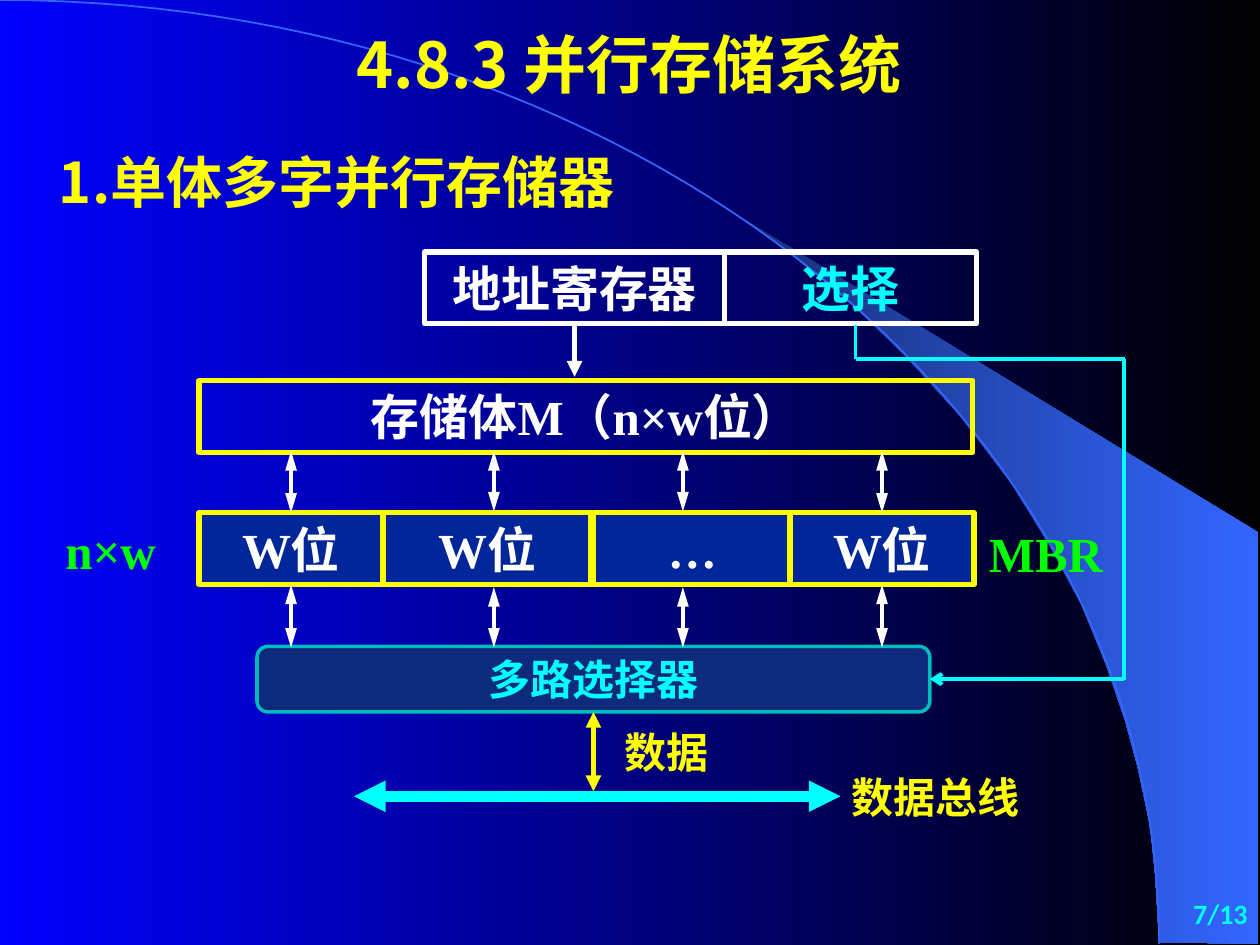
from dataclasses import dataclass
from math import isclose
from typing import Optional

from lxml.etree import SubElement
from pptx import Presentation
from pptx.dml.color import RGBColor
from pptx.enum.shapes import MSO_CONNECTOR, MSO_SHAPE
from pptx.enum.text import MSO_ANCHOR, PP_ALIGN
from pptx.oxml.ns import qn
from pptx.util import Emu, Inches, Pt

# Grid of 100 columns by 75 rows: one cell is a tenth of an inch
SLIDE_WIDTH, SLIDE_HEIGHT = Inches(10), Inches(7.5)
COLUMNS, ROWS = 100, 75
TOP, BOTTOM, RIGHT = 0, 2, 3


@dataclass(frozen=True)
class Theme:
    blue: str = "0000FF"
    black: str = "000000"
    white: str = "FFFFFF"
    yellow: str = "FFFF00"
    cyan: str = "00FFFF"
    green: str = "00FF00"
    arc: str = "3366FF"
    band: str = "182F76"
    cell: str = "002699"
    selector: str = "0E2A7C"
    selector_line: str = "00BCBC"
    serif: str = "Times New Roman"
    chinese: str = "Noto Sans CJK SC"
    label: str = "Arial"
    number: str = "Calibri"
    title_size: int = 36
    heading_size: int = 32
    box_size: int = 28
    label_size: int = 24
    number_size: int = 16


THEME = Theme()


@dataclass(frozen=True)
class Box:
    text: str
    left: float
    top: float
    width: float
    height: float = 5.7
    color: str = THEME.white
    size: int = THEME.box_size
    font: str = THEME.serif
    align: PP_ALIGN = PP_ALIGN.CENTER
    line: Optional[str] = None
    line_width: float = 3
    fill: Optional[str] = None
    preset: MSO_SHAPE = MSO_SHAPE.RECTANGLE


@dataclass(frozen=True)
class Line:
    start: tuple[float, float]
    end: tuple[float, float]
    color: str
    width: float = 2.25
    head: Optional[str] = None
    tail: Optional[str] = None
    arrow_length: str = "med"


def column(count: float) -> Emu:
    return Emu(round(SLIDE_WIDTH * count / COLUMNS))


def row(count: float) -> Emu:
    return Emu(round(SLIDE_HEIGHT * count / ROWS))


def rgb(color: str) -> RGBColor:
    return RGBColor.from_string(color)


def set_gradient(fill, first: str, last: str) -> None:
    fill.gradient()
    fill.gradient_angle = 0
    for stop, color, position in zip(fill.gradient_stops, (first, last), (0, 1)):
        stop.color.rgb = rgb(color)
        stop.position = position


def draw_box(slide, box: Box):
    frame = column(box.left), row(box.top), column(box.width), row(box.height)
    if box.line:
        shape = slide.shapes.add_shape(box.preset, *frame)
        shape.shadow.inherit = False
        shape.line.color.rgb = rgb(box.line)
        shape.line.width = Pt(box.line_width)
        if box.fill:
            shape.fill.solid()
            shape.fill.fore_color.rgb = rgb(box.fill)
        else:
            shape.fill.background()
    else:
        shape = slide.shapes.add_textbox(*frame)
    text_frame = shape.text_frame
    text_frame.text = box.text
    text_frame.word_wrap = True
    text_frame.vertical_anchor = MSO_ANCHOR.MIDDLE
    paragraph = text_frame.paragraphs[0]
    paragraph.alignment = box.align
    for run in paragraph.runs:
        run.font.name = box.font
        run.font.size = Pt(box.size)
        run.font.bold = True
        run.font.color.rgb = rgb(box.color)
        SubElement(run.font._element, qn("a:ea"), typeface=THEME.chinese)
    return shape


def draw_line(slide, line: Line):
    connector = slide.shapes.add_connector(
        MSO_CONNECTOR.STRAIGHT, column(line.start[0]), row(line.start[1]),
        column(line.end[0]), row(line.end[1]))
    connector.line.color.rgb = rgb(line.color)
    connector.line.width = Pt(line.width)
    outline = connector.line._get_or_add_ln()
    for tag, arrow in (("a:headEnd", line.head), ("a:tailEnd", line.tail)):
        if arrow:
            SubElement(outline, qn(tag), type=arrow, len=line.arrow_length)
    SubElement(connector._element.spPr, qn("a:effectLst"))
    return connector


def draw_outline(slide, points: list[tuple[float, float]], closed: bool):
    vertices = [(column(x), row(y)) for x, y in points]
    builder = slide.shapes.build_freeform(*vertices[0])
    builder.add_line_segments(vertices[1:], close=closed)
    shape = builder.convert_to_shape()
    shape.shadow.inherit = False
    return shape


def draw_backdrop(slide) -> None:
    set_gradient(slide.background.fill, THEME.blue, THEME.black)
    band = draw_outline(slide, [
        (92, 74.8), (99.9, 74.9), (99.9, 42.3), (58.9, 17.3), (62.4, 19.9), (65.3, 22.2),
        (68.5, 25), (71.6, 28), (76.2, 33), (80.3, 38.4), (83.2, 43.1), (85.8, 47.9),
        (87.8, 52.8), (89.3, 57.2), (90.3, 60.9), (91.3, 65.6), (91.7, 69.6)], True)
    set_gradient(band.fill, THEME.band, THEME.arc)
    band.line.fill.background()
    # Quarter ellipse as a cubic curve from the top left corner
    steps = [index / 60 for index in range(61)]
    arc = draw_outline(slide, [
        (3 * t * (1 - t) ** 2 * 50.8 + (3 * t ** 2 * (1 - t) + t ** 3) * 92,
         3 * t ** 2 * (1 - t) * 33.5 + t ** 3 * 74.9) for t in steps], False)
    arc.fill.background()
    arc.line.color.rgb = rgb(THEME.arc)
    arc.line.width = Pt(1)


def draw_headings(slide) -> None:
    for box in (
        Box("4.8.3 并行存储系统", 2.8, 1.7, 94.2, 6.7, THEME.yellow, THEME.title_size, THEME.chinese),
        Box("1.单体多字并行存储器", 3.7, 10.2, 59.7, 8.3, THEME.yellow, THEME.heading_size,
            THEME.chinese, PP_ALIGN.LEFT),
        Box("7/13", 79.2, 70, 20.8, 5, THEME.cyan, THEME.number_size, THEME.number, PP_ALIGN.RIGHT),
    ):
        draw_box(slide, box)


def draw_diagram(slide) -> None:
    # Address register, selection field and memory body
    address = draw_box(slide, Box("地址寄存器", 33.7, 20, 23.8, line=THEME.white))
    draw_box(slide, Box("选择", 57.5, 20, 20, color=THEME.cyan, line=THEME.white))
    draw_box(slide, Box("存储体M（n×w位）", 15.8, 30.2, 61.4, line=THEME.yellow))
    address_arrow = draw_line(slide, Line((45.6, 25.7), (45.6, 29.9), THEME.white, 3, tail="triangle"))
    address_arrow.begin_connect(address, BOTTOM)

    # Multiplexer, centred on the data arrow and level with the selection path
    selector = draw_box(slide, Box(
        "多路选择器", 20.4, 51.3, 53.4, 5.2, THEME.cyan, THEME.label_size, THEME.chinese,
        line=THEME.selector_line, line_width=2, fill=THEME.selector,
        preset=MSO_SHAPE.ROUNDED_RECTANGLE))

    # Word cells, each with an arrow above and below
    for text, left, width, arrow_column in (
            ("W位", 15.8, 14.6, 23.1), ("W位", 30.4, 16.5, 39.2),
            ("…", 47.1, 15.7, 54.2), ("W位", 62.7, 14.6, 70)):
        cell = draw_box(slide, Box(text, left, 40.7, width, line=THEME.yellow, fill=THEME.cell))
        above, below = (
            draw_line(slide, Line((arrow_column, start), (arrow_column, start + 4.8),
                                  THEME.white, head="triangle", tail="triangle", arrow_length="lg"))
            for start in (35.8, 46.6))
        if isclose(left + width / 2, arrow_column):
            above.end_connect(cell, TOP)
            below.begin_connect(cell, BOTTOM)

    # Selection path into the multiplexer
    for start, end in (((67.9, 25.8), (67.9, 28.5)), ((67.9, 28.5), (89.3, 28.5)),
                       ((89.2, 28.5), (89.2, 54))):
        draw_line(slide, Line(start, end, THEME.cyan))
    selection = draw_line(slide, Line((73.8, 53.9), (89.2, 53.9), THEME.cyan, head="arrow"))
    selection.begin_connect(selector, RIGHT)

    # Data bus
    data = draw_line(slide, Line((47.1, 56.5), (47.1, 62.8), THEME.yellow, 3, "triangle", "triangle"))
    data.begin_connect(selector, BOTTOM)
    draw_line(slide, Line((28.1, 63.2), (66.7, 63.2), THEME.cyan, 6, "triangle", "triangle"))

    # Labels
    for text, left, top in (("n×w", 4.2, 40.8), ("MBR", 77.5, 41)):
        draw_box(slide, Box(text, left, top, 12.5, color=THEME.green, align=PP_ALIGN.LEFT))
    for text, left, top, width in (("数据", 48.6, 57.2, 10), ("数据总线", 66.6, 60.7, 17)):
        draw_box(slide, Box(text, left, top, width, 5, THEME.yellow, THEME.label_size,
                            THEME.label, PP_ALIGN.LEFT))


def main() -> None:
    presentation = Presentation()
    presentation.slide_width, presentation.slide_height = SLIDE_WIDTH, SLIDE_HEIGHT
    slide = presentation.slides.add_slide(presentation.slide_layouts[6])
    draw_backdrop(slide)
    draw_headings(slide)
    draw_diagram(slide)
    presentation.save("out.pptx")


if __name__ == "__main__":
    main()
